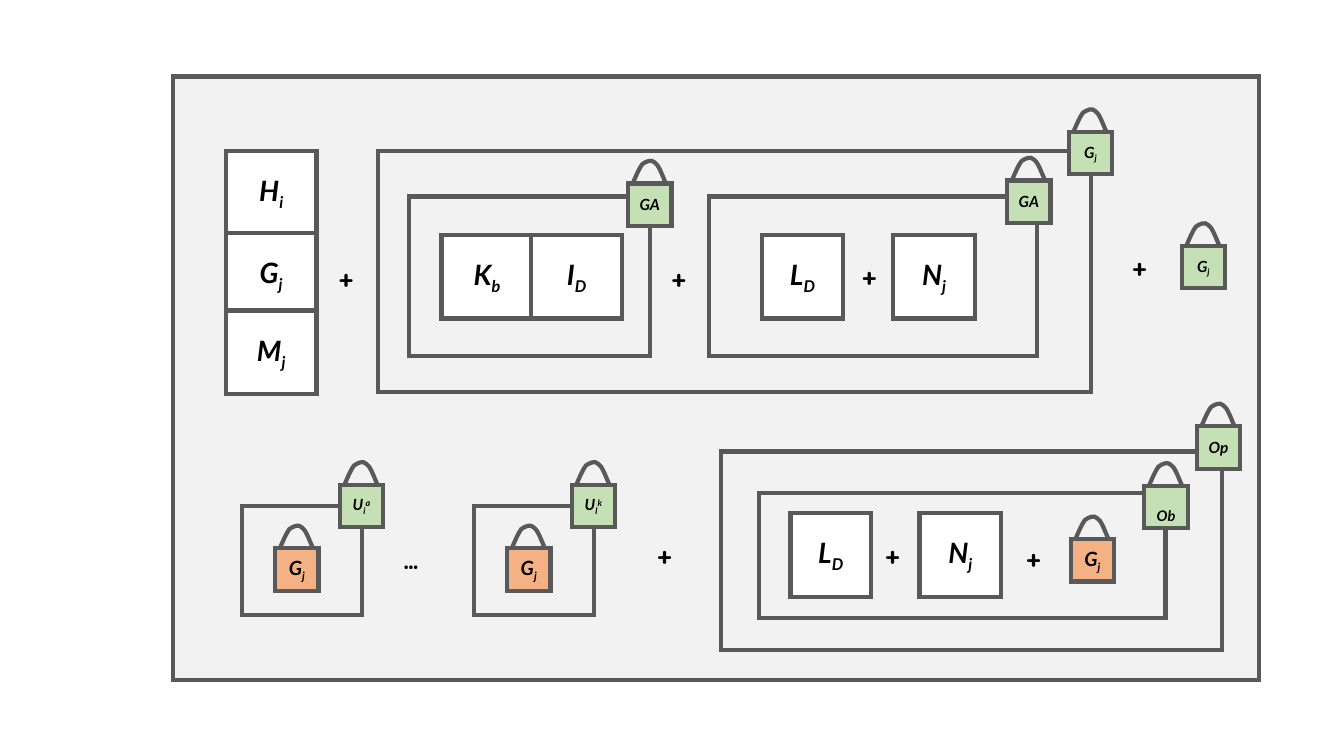
from dataclasses import dataclass
from lxml.etree import SubElement
from pptx import Presentation
from pptx.dml.color import RGBColor
from pptx.enum.shapes import MSO_SHAPE
from pptx.enum.text import MSO_ANCHOR, MSO_AUTO_SIZE, PP_ALIGN
from pptx.oxml.ns import qn
from pptx.util import Inches, Pt


@dataclass(frozen=True)
class Theme:
    """Colours, fonts and type sizes of the slide."""
    panel: str = "F2F2F2"
    white: str = "FFFFFF"
    green: str = "C5E0B4"
    orange: str = "F4B183"
    edge: str = "595959"
    ink: str = "000000"
    label: str = "Lato"
    sign: str = "Quicksand"
    line: int = 3
    big: int = 20
    mid: int = 18
    key: int = 14
    small: int = 11


THEME = Theme()

# Frames: left, top, width, height, from back to front
FRAMES = [
    (1.72, 0.76, 10.77, 5.99),
    (7.15, 4.48, 4.97, 1.97),
    (3.75, 1.5, 7.07, 2.39),
    (4.06, 1.95, 2.39, 1.58),
    (7.03, 1.95, 3.26, 1.58),
    (7.53, 4.89, 4.03, 1.24),
]

# Labels: normal text, subscript, superscript
HI, GJ, MJ = ("H", "i", ""), ("G", "j", ""), ("M", "j", "")
KB, ID = ("K", "b", ""), ("I", "D", "")
LD, NJ = ("L", "D", ""), ("N", "j", "")
GA, OP, OB = ("GA", "", ""), ("Op", "", ""), ("", "Ob", "")
USERS = [("U", "i", "a"), ("U", "l", "k")]

# Boxes: label, left, top, width
BOXES = [
    (HI, 2.24, 1.5, 0.9), (GJ, 2.24, 2.31, 0.9), (MJ, 2.24, 3.08, 0.9),
    (KB, 4.38, 2.33, 0.9), (ID, 5.27, 2.33, 0.9),
    (LD, 7.56, 2.33, 0.8), (NJ, 8.86, 2.33, 0.81),
    (LD, 7.84, 5.09, 0.8), (NJ, 9.12, 5.09, 0.81),
]
BOX_H = 0.83

# Locks: label, left, top, fill, type size
LOCKS = [
    (GA, 6.23, 1.82, THEME.green, THEME.small),
    (GJ, 10.6, 1.31, THEME.green, THEME.small),
    (GA, 9.99, 1.79, THEME.green, THEME.small),
    (OP, 11.87, 4.23, THEME.green, THEME.small),
    (GJ, 10.62, 5.35, THEME.orange, THEME.key),
    (OB, 11.35, 4.82, THEME.green, THEME.mid),
    (GJ, 11.72, 2.44, THEME.green, THEME.small),
]
LOCK_W, LOCK_H = 0.43, 0.42

# Shackle: start, then three points a curve, measured from the lock corner
START = (0.05, -0.01)
CURVES = [
    (0.08, -0.08), (0.11, -0.15), (0.14, -0.19),
    (0.18, -0.22), (0.23, -0.24), (0.26, -0.21),
    (0.3, -0.19), (0.33, -0.1), (0.37, -0.01),
]

# Each user has a frame that holds a key lock, one pitch apart
USER_X, USER_Y, PITCH = 2.4, 5.02, 2.3

# Signs: text, left, top
SIGNS = [
    ("…", 3.9, 5.35), ("+", 6.42, 5.31), ("+", 11.13, 2.45),
    ("+", 10.08, 5.34), ("+", 6.56, 2.56), ("+", 3.26, 2.56),
    ("+", 8.45, 2.54), ("+", 8.68, 5.31),
]


def style(run, font, size):
    """Give a run its bold face, size and ink."""
    run.font.name, run.font.size, run.font.bold = font, Pt(size), True
    run.font.color.rgb = RGBColor.from_string(THEME.ink)


def outline(shape):
    """Set the common edge with sharp corners and drop the shadow."""
    shape.shadow.inherit = False
    shape.line.color.rgb = RGBColor.from_string(THEME.edge)
    shape.line.width = Pt(THEME.line)
    edge = shape._element.spPr.find(qn("a:ln"))
    SubElement(edge, qn("a:miter"), lim="800000")


def add_rect(shapes, left, top, width, height, fill):
    """Add a filled, edged rectangle."""
    rect = shapes.add_shape(MSO_SHAPE.RECTANGLE, Inches(left), Inches(top),
                            Inches(width), Inches(height))
    rect.fill.solid()
    rect.fill.fore_color.rgb = RGBColor.from_string(fill)
    outline(rect)
    return rect


def add_label(shape, label, size):
    """Write a centred label with its subscript and superscript."""
    frame = shape.text_frame
    frame.margin_left = frame.margin_right = 0
    frame.vertical_anchor = MSO_ANCHOR.MIDDLE
    line = frame.paragraphs[0]
    line.alignment = PP_ALIGN.CENTER
    for text, shift in zip(label, (0, -25000, 30000)):
        if text:
            run = line.add_run()
            run.text = text
            style(run, THEME.label, size)
            run.font.italic = True
            if shift:
                run._r.get_or_add_rPr().set("baseline", str(shift))


def bend(shape):
    """Turn each three line segments of an outline into one cubic curve."""
    track = shape._element.spPr.find(".//" + qn("a:path"))
    lines = track.findall(qn("a:lnTo"))
    for first in range(0, len(lines), 3):
        curve = SubElement(track, qn("a:cubicBezTo"))
        for line in lines[first:first + 3]:
            curve.append(line[0])
            track.remove(line)


def add_lock(slide, label, left, top, fill, size):
    """Add a grouped lock: a labelled body and its shackle."""
    parts = slide.shapes.add_group_shape().shapes
    body = add_rect(parts, left, top, LOCK_W, LOCK_H, fill)
    add_label(body, label, size)
    pen = parts.build_freeform(Inches(left + START[0]), Inches(top + START[1]))
    pen.add_line_segments([(Inches(left + x), Inches(top + y))
                           for x, y in CURVES], close=False)
    arc = pen.convert_to_shape()
    bend(arc)
    arc.fill.background()
    outline(arc)


def add_sign(slide, text, left, top):
    """Add a plus sign or an ellipsis."""
    box = slide.shapes.add_textbox(Inches(left), Inches(top),
                                   Inches(0.43), Inches(0.4))
    frame = box.text_frame
    frame.word_wrap = True
    frame.auto_size = MSO_AUTO_SIZE.SHAPE_TO_FIT_TEXT
    run = frame.paragraphs[0].add_run()
    run.text = text
    style(run, THEME.sign, THEME.mid)


def main():
    """Build the slide and save it."""
    deck = Presentation()
    deck.slide_width, deck.slide_height = Inches(13.33), Inches(7.5)
    slide = deck.slides.add_slide(deck.slide_layouts[6])
    for place in FRAMES:
        add_rect(slide.shapes, *place, THEME.panel)
    for label, left, top, width in BOXES:
        box = add_rect(slide.shapes, left, top, width, BOX_H, THEME.white)
        add_label(box, label, THEME.big)
    for index, user in enumerate(USERS):
        left = USER_X + index * PITCH
        add_rect(slide.shapes, left, USER_Y, 1.19, 1.08, THEME.panel)
        add_lock(slide, user, left + 0.97, USER_Y - 0.21,
                 THEME.green, THEME.small)
        add_lock(slide, GJ, left + 0.33, USER_Y + 0.42,
                 THEME.orange, THEME.key)
    for lock in LOCKS:
        add_lock(slide, *lock)
    for sign in SIGNS:
        add_sign(slide, *sign)
    deck.save("out.pptx")


main()
